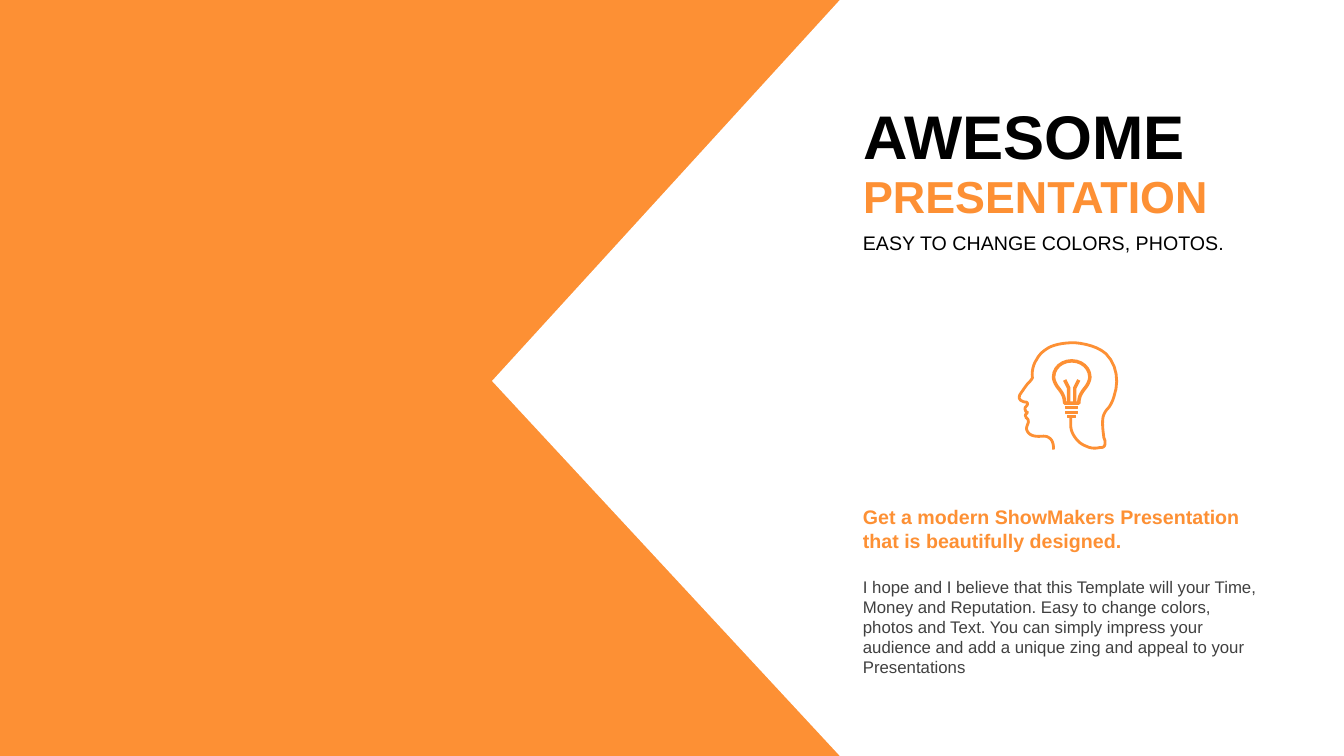
from pptx import Presentation
from pptx.dml.color import RGBColor
from pptx.enum.shapes import MSO_SHAPE
from pptx.enum.text import MSO_ANCHOR, MSO_AUTO_SIZE, PP_ALIGN
from pptx.util import Emu, Pt

EMU_PER_PX = 9144  # 100 px to the inch
SLIDE_WIDTH, SLIDE_HEIGHT = 1333, 750
RECTANGLE = MSO_SHAPE.RECTANGLE
TOP, MIDDLE = MSO_ANCHOR.TOP, MSO_ANCHOR.MIDDLE
LEFT, JUSTIFY = PP_ALIGN.LEFT, PP_ALIGN.JUSTIFY
GROW = MSO_AUTO_SIZE.SHAPE_TO_FIT_TEXT

FONT = "Arial"
ORANGE, WHITE, BLACK, GRAY = "FD9034", "FFFFFF", "000000", "404040"
TEXT_LEFT, TEXT_WIDTH = 846, 428

# Curves are rows of two control points and an end point
HEAD_START = (1045, 446)
HEAD_CURVES = [
    (1045, 441, 1044, 436, 1040, 434), (1037, 432, 1033, 433, 1030, 433),
    (1026, 433, 1021, 432, 1019, 428), (1017, 425, 1019, 422, 1020, 419),
    (1020, 416, 1019, 415, 1018, 415), (1018, 414, 1017, 413, 1017, 412),
    (1017, 411, 1019, 410, 1019, 409), (1018, 409, 1017, 408, 1017, 407),
    (1016, 405, 1017, 404, 1018, 403), (1019, 402, 1020, 400, 1018, 399),
    (1015, 399, 1014, 398, 1012, 397), (1012, 396, 1011, 396, 1011, 395),
    (1011, 394, 1011, 392, 1012, 391), (1014, 388, 1016, 385, 1019, 381),
    (1021, 379, 1023, 377, 1024, 375), (1023, 369, 1025, 361, 1028, 357),
    (1031, 351, 1036, 347, 1042, 344), (1049, 341, 1058, 340, 1066, 340),
    (1077, 341, 1089, 344, 1097, 351), (1108, 362, 1110, 379, 1105, 393),
    (1104, 397, 1102, 401, 1100, 404), (1097, 407, 1095, 410, 1094, 414),
    (1093, 420, 1094, 428, 1095, 435), (1096, 436, 1096, 438, 1096, 439),
    (1096, 440, 1096, 442, 1095, 443), (1094, 444, 1093, 444, 1091, 444),
    (1087, 445, 1082, 445, 1078, 443), (1073, 441, 1070, 439, 1067, 435),
    (1064, 431, 1062, 427, 1062, 422), (1062, 419, 1062, 417, 1062, 414),
]
BULB_START = (1056, 400)
BULB_CURVES = [
    (1056, 392, 1052, 388, 1049, 384), (1046, 380, 1045, 376, 1045, 374),
    (1045, 365, 1053, 358, 1063, 358),
]
BULB_CENTER = 1063
FILAMENT = [(1056, 377), (1060, 385), (1060, 400)]
SOCKET_RINGS = [(403, 12), (408, 12), (412, 8)]  # top, width


def px(length):
    return Emu(round(length * EMU_PER_PX))


def color(value):
    return RGBColor.from_string(value)


def curve_points(start, curves, steps=6):
    """Sample a chain of cubic curves."""
    points = [start]
    for x1, y1, x2, y2, x3, y3 in curves:
        x0, y0 = points[-1]
        for step in range(1, steps + 1):
            t = step / steps
            a, b, c, d = (1 - t) ** 3, 3 * t * (1 - t) ** 2, 3 * t * t * (1 - t), t ** 3
            points.append((a * x0 + b * x1 + c * x2 + d * x3,
                           a * y0 + b * y1 + c * y2 + d * y3))
    return points


def mirror(points):
    return [(2 * BULB_CENTER - x, y) for x, y in points]


def add_outline(shapes, points, fill=None, line_width=None, close=False):
    scaled = [(px(x), px(y)) for x, y in points]
    builder = shapes.build_freeform(*scaled[0])
    builder.add_line_segments(scaled[1:], close=close)
    shape = builder.convert_to_shape()
    shape.shadow.inherit = False
    if fill:
        shape.fill.solid()
        shape.fill.fore_color.rgb = color(fill)
    else:
        shape.fill.background()
    if line_width:
        shape.line.color.rgb = color(ORANGE)
        shape.line.width = Pt(line_width)
    else:
        shape.line.fill.background()
    return shape


def send_to_back(shape):
    tree = shape.element.getparent()
    tree.insert(2, shape.element)  # after the two property elements of the tree


def add_ring(shapes, top, width):
    ring = shapes.add_shape(RECTANGLE, px(BULB_CENTER - width / 2), px(top), px(width), px(2))
    ring.shadow.inherit = False
    ring.fill.solid()
    ring.fill.fore_color.rgb = color(ORANGE)
    ring.line.color.rgb = color(ORANGE)
    ring.line.width = Pt(1)


def add_idea_icon(slide):
    shapes = slide.shapes.add_group_shape().shapes
    add_outline(shapes, curve_points(HEAD_START, HEAD_CURVES), line_width=2)
    # Bulb and filaments are symmetric
    half = curve_points(BULB_START, BULB_CURVES)
    add_outline(shapes, half + mirror(half)[-2::-1], line_width=2.5, close=True)
    for filament in (FILAMENT, mirror(FILAMENT)):
        add_outline(shapes, filament, line_width=2.5)
    for top, width in SOCKET_RINGS:
        add_ring(shapes, top, width)


def set_text(shape, top, height, text, size, text_color,
             bold=False, anchor=TOP, align=LEFT, width=TEXT_WIDTH):
    shape.left, shape.top = px(TEXT_LEFT), px(top)
    shape.width, shape.height = px(width), px(height)
    frame = shape.text_frame
    frame.word_wrap = True
    frame.auto_size = GROW
    frame.vertical_anchor = anchor
    paragraph = frame.paragraphs[0]
    paragraph.alignment = align
    paragraph.space_before = Pt(0)
    run = paragraph.add_run()
    run.text = text
    run.font.name = FONT
    run.font.size = Pt(size)
    run.font.bold = bold
    run.font.color.rgb = color(text_color)


def add_text(slide, *arguments, **options):
    set_text(slide.shapes.add_textbox(0, 0, 0, 0), *arguments, **options)


def main():
    presentation = Presentation()
    presentation.slide_width, presentation.slide_height = px(SLIDE_WIDTH), px(SLIDE_HEIGHT)
    slide = presentation.slides.add_slide(presentation.slide_layouts[0])

    # Orange background with a white arrow panel
    slide.background.fill.solid()
    slide.background.fill.fore_color.rgb = color(ORANGE)
    panel = [(833, 0), (SLIDE_WIDTH, 0), (SLIDE_WIDTH, SLIDE_HEIGHT),
             (833, SLIDE_HEIGHT), (488, 378)]
    send_to_back(add_outline(slide.shapes, panel, fill=WHITE, close=True))

    # Headings
    title, subtitle = slide.placeholders
    set_text(title, 92, 84, "AWESOME", 44, BLACK, bold=True, anchor=MIDDLE, align=JUSTIFY)
    set_text(subtitle, 162, 64, "PRESENTATION", 32, ORANGE,
             bold=True, anchor=MIDDLE, align=JUSTIFY)
    add_text(slide, 224, 34, "EASY TO CHANGE COLORS, PHOTOS.", 14, BLACK, align=JUSTIFY)

    # Description
    add_text(slide, 496, 57,
             "Get a modern ShowMakers Presentation that is beautifully designed.",
             14, ORANGE, bold=True)
    add_text(slide, 567, 111,
             "I hope and I believe that this Template will your Time, Money and "
             "Reputation. Easy to change colors, photos and Text. You can simply "
             "impress your audience and add a unique zing and appeal to your "
             "Presentations", 12, GRAY, width=419)

    add_idea_icon(slide)
    presentation.save("out.pptx")


if __name__ == "__main__":
    main()
